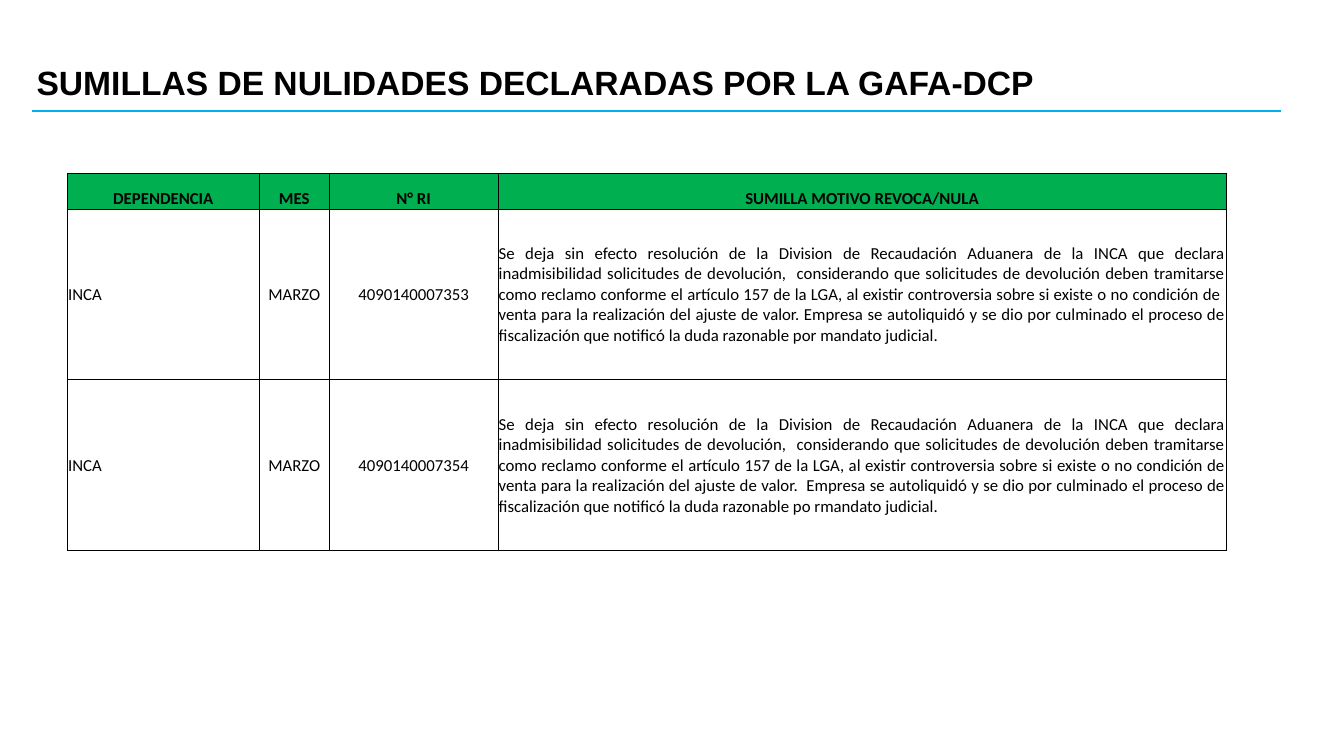
from lxml.etree import SubElement
from pptx import Presentation
from pptx.dml.color import RGBColor
from pptx.enum.shapes import MSO_CONNECTOR
from pptx.enum.text import MSO_ANCHOR, PP_ALIGN
from pptx.oxml.ns import qn
from pptx.util import Pt

TITLE = "SUMILLAS DE NULIDADES DECLARADAS POR LA GAFA-DCP"
HEADERS = ("DEPENDENCIA", "MES", "N° RI", "SUMILLA MOTIVO REVOCA/NULA")
RESOLUTIONS = [
    ("INCA", "MARZO", "4090140007353",
     "Se deja sin efecto resolución de la Division de Recaudación Aduanera de la INCA que declara "
     "inadmisibilidad solicitudes de devolución,  considerando que solicitudes de devolución deben "
     "tramitarse como reclamo conforme el artículo 157 de la LGA, al existir controversia sobre si "
     "existe o no condición de  venta para la realización del ajuste de valor. Empresa se autoliquidó "
     "y se dio por culminado el proceso de fiscalización que notificó la duda razonable por mandato "
     "judicial."),
    ("INCA", "MARZO", "4090140007354",
     "Se deja sin efecto resolución de la Division de Recaudación Aduanera de la INCA que declara "
     "inadmisibilidad solicitudes de devolución,  considerando que solicitudes de devolución deben "
     "tramitarse como reclamo conforme el artículo 157 de la LGA, al existir controversia sobre si "
     "existe o no condición de venta para la realización del ajuste de valor.  Empresa se autoliquidó "
     "y se dio por culminado el proceso de fiscalización que notificó la duda razonable po rmandato "
     "judicial."),
]

BLACK = RGBColor(0x00, 0x00, 0x00)
GREEN = RGBColor(0x00, 0xB0, 0x50)
SKY = RGBColor(0x00, 0xB0, 0xF0)

COLUMN_WIDTHS = (137, 50, 120.6, 520.2)
COLUMN_ALIGNS = (PP_ALIGN.LEFT, PP_ALIGN.CENTER, PP_ALIGN.CENTER, PP_ALIGN.JUSTIFY)
HEADER_HEIGHT, RESOLUTION_HEIGHT = 25.3, 122.1


def format_run(run, font_name, size, bold):
    run.font.name = font_name
    run.font.size = Pt(size)
    run.font.bold = bold
    run.font.color.rgb = BLACK


def add_borders(cell):
    properties = cell._tc.get_or_add_tcPr()
    for side in ("a:lnL", "a:lnR", "a:lnT", "a:lnB"):
        border = SubElement(properties, qn(side), w=str(Pt(0.5)))
        fill = SubElement(border, qn("a:solidFill"))
        SubElement(fill, qn("a:srgbClr"), val=str(BLACK))


def fill_cell(cell, wording, align, is_header):
    cell.text_frame.text = wording
    cell.margin_left = cell.margin_top = cell.margin_right = Pt(0.5)
    cell.margin_bottom = Pt(0)
    cell.vertical_anchor = MSO_ANCHOR.BOTTOM if is_header else MSO_ANCHOR.MIDDLE
    paragraph = cell.text_frame.paragraphs[0]
    paragraph.alignment = PP_ALIGN.CENTER if is_header else align
    format_run(paragraph.runs[0], "Calibri", 12, is_header)
    add_borders(cell)
    if is_header:
        cell.fill.solid()
        cell.fill.fore_color.rgb = GREEN
    else:
        cell.fill.background()


def add_title(slide):
    title = slide.shapes.title
    title.left, title.top, title.width, title.height = Pt(18.9), Pt(26.6), Pt(828), Pt(67)
    title.text_frame.text = TITLE
    title.text_frame.word_wrap = True
    title.text_frame.vertical_anchor = MSO_ANCHOR.MIDDLE
    paragraph = title.text_frame.paragraphs[0]
    paragraph.alignment = PP_ALIGN.LEFT
    paragraph.line_spacing = 0.9
    format_run(paragraph.runs[0], "Arial", 24, True)


def add_rule(slide):
    rule = slide.shapes.add_connector(MSO_CONNECTOR.STRAIGHT, Pt(23), Pt(79), Pt(915), Pt(79))
    rule.line.color.rgb = SKY
    rule.line.width = Pt(1.5)
    SubElement(rule._element.spPr, qn("a:effectLst"))


def add_resolutions(slide):
    rows = [HEADERS, *RESOLUTIONS]
    heights = [HEADER_HEIGHT] + [RESOLUTION_HEIGHT] * len(RESOLUTIONS)
    table = slide.shapes.add_table(
        len(rows), len(HEADERS), Pt(48.2), Pt(123.9),
        Pt(sum(COLUMN_WIDTHS)), Pt(sum(heights))).table
    table.horz_banding = False
    for column, width in zip(table.columns, COLUMN_WIDTHS):
        column.width = Pt(width)
    for row_index, (row, height) in enumerate(zip(rows, heights)):
        table.rows[row_index].height = Pt(height)
        for column_index, (wording, align) in enumerate(zip(row, COLUMN_ALIGNS)):
            fill_cell(table.cell(row_index, column_index), wording, align, row_index == 0)


def main():
    deck = Presentation()
    deck.slide_width, deck.slide_height = Pt(960), Pt(540)
    slide = deck.slides.add_slide(deck.slide_layouts[5])
    add_rule(slide)
    add_title(slide)
    add_resolutions(slide)
    deck.save("out.pptx")


if __name__ == "__main__":
    main()
